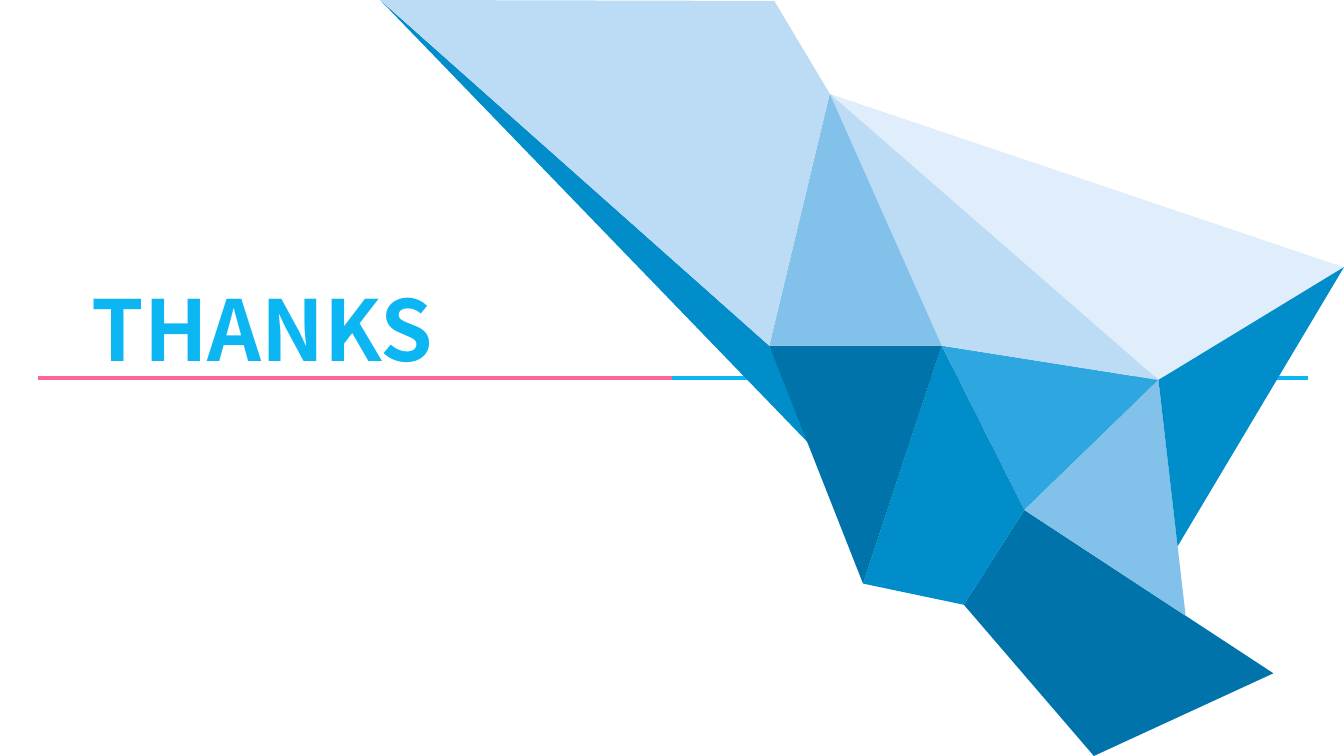
"""Build a closing slide with a faceted blue figure and a thank-you title."""
from lxml import etree
from pptx import Presentation
from pptx.dml.color import RGBColor
from pptx.enum.shapes import MSO_CONNECTOR
from pptx.enum.text import MSO_AUTO_SIZE
from pptx.oxml.ns import qn
from pptx.util import Inches, Pt

STRAIGHT = MSO_CONNECTOR.STRAIGHT
GROW = MSO_AUTO_SIZE.SHAPE_TO_FIT_TEXT
WHITE = RGBColor(0xFF, 0xFF, 0xFF)
PINK = RGBColor(0xFF, 0x66, 0x95)
CYAN = RGBColor(0x0C, 0xB6, 0xF2)
NAVY = RGBColor(0x00, 0x73, 0xAB)
BLUE = RGBColor(0x00, 0x8D, 0xCA)
AZURE = RGBColor(0x2E, 0xA7, 0xE0)
SKY = RGBColor(0x82, 0xC1, 0xEA)
PALE = RGBColor(0xBB, 0xDC, 0xF4)
MIST = RGBColor(0xDF, 0xEE, 0xFA)

deck = Presentation()
deck.slide_width, deck.slide_height = Inches(13.33), Inches(7.5)
slide = deck.slides.add_slide(deck.slide_layouts[6])
shapes = slide.shapes

for left, right, color in [(0.38, 6.68, PINK), (6.67, 12.97, CYAN)]:
    rule = shapes.add_connector(
        STRAIGHT, Inches(left), Inches(3.75), Inches(right), Inches(3.75))
    rule.line.color.rgb = color
    rule.line.width = Pt(3)
    etree.SubElement(rule._element.spPr, qn("a:effectLst"))

tip = (3.77, 0)
crest = (7.68, 0.01)
peak = (8.23, 0.93)
east = (13.33, 2.65)
west = (7.63, 3.43)
core = (9.34, 3.43)
hub = (11.49, 3.77)
knee = (10.16, 5.06)
heel = (8.56, 5.79)
foot = (9.56, 6)

facets = [
    (BLUE, [tip, (8.11, 4.49), west]),
    (NAVY, [(12.63, 6.68), knee, foot, (10.85, 7.5)]),
    (MIST, [peak, east, hub]),
    (WHITE, [crest, peak, east]),
    (AZURE, [knee, hub, core]),
    (BLUE, [heel, core, knee, foot]),
    (NAVY, [west, heel, core]),
    (SKY, [knee, hub, (11.76, 6.11)]),
    (PALE, [hub, peak, core]),
    (SKY, [core, west, peak]),
    (PALE, [crest, tip, west, peak]),
    (BLUE, [east, (11.68, 5.42), hub]),
]
for color, points in facets:
    ends = [(Inches(x), Inches(y)) for x, y in points]
    pen = shapes.build_freeform(*ends[0])
    pen.add_line_segments(ends[1:], close=True)
    facet = pen.convert_to_shape()
    facet.shadow.inherit = False
    facet.fill.solid()
    facet.fill.fore_color.rgb = color
    facet.line.fill.background()

title = shapes.add_textbox(Inches(0.81), Inches(2.7), Inches(5.85), Inches(1.11))
frame = title.text_frame
frame.word_wrap = True
frame.auto_size = GROW
frame.text = "THANKS"
font = frame.paragraphs[0].runs[0].font
font.name = "Noto Sans CJK SC"
font.size = Pt(60)
font.bold = True
font.color.rgb = CYAN

deck.save("out.pptx")
